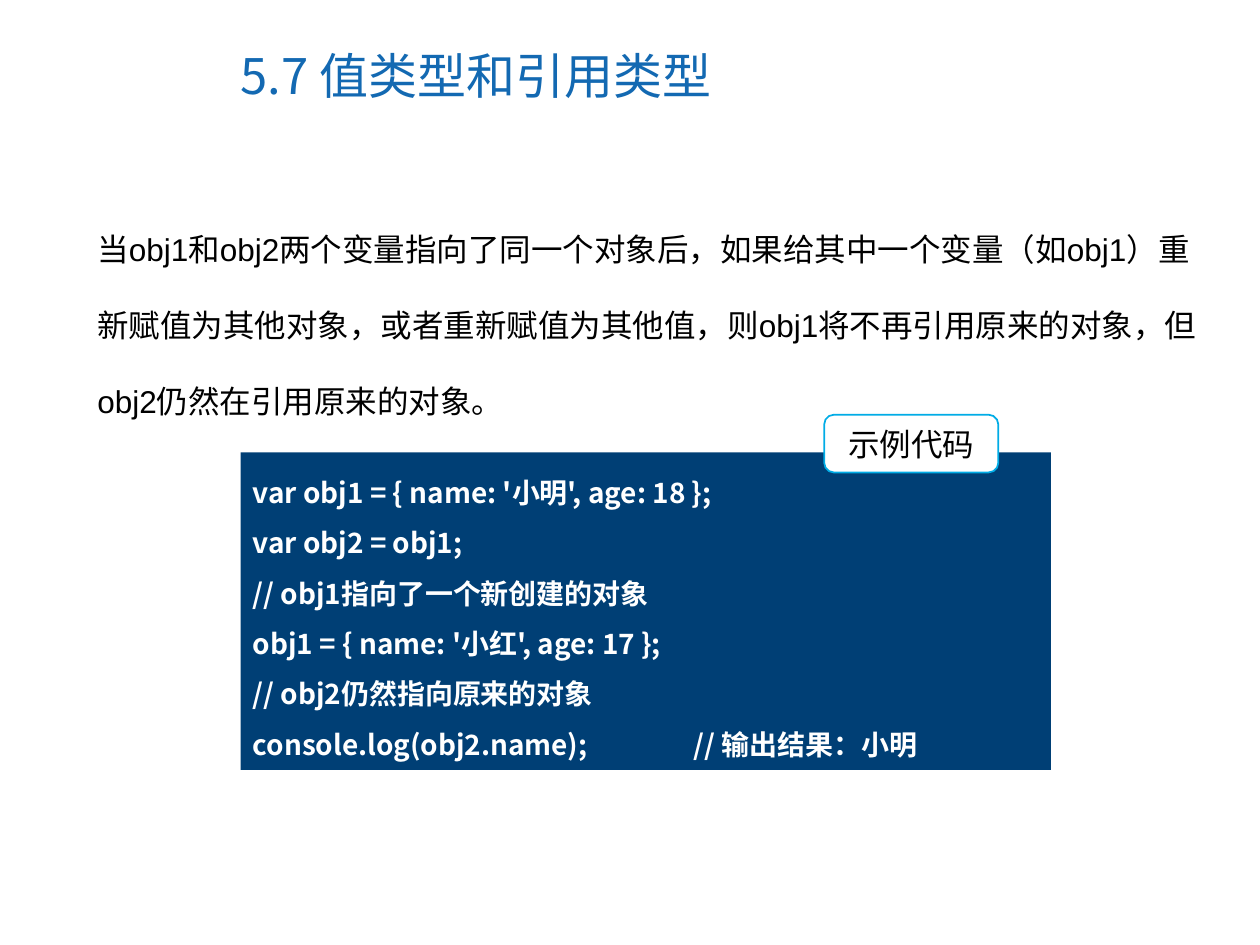
import dataclasses

import pptx
import pptx.dml.color
import pptx.enum.shapes
import pptx.enum.text
import pptx.oxml.ns
import pptx.util
from lxml import etree

Pt = pptx.util.Pt
ANCHOR = pptx.enum.text.MSO_ANCHOR
ALIGN = pptx.enum.text.PP_ALIGN
SHAPE = pptx.enum.shapes.MSO_SHAPE


@dataclasses.dataclass(frozen=True)
class Theme:
    heading: str = "1369B2"
    text: str = "000000"
    code_back: str = "003F75"
    white: str = "FFFFFF"
    label_line: str = "00ACE6"
    cjk_font: str = "Noto Sans CJK SC"
    latin_font: str = "Arial"
    heading_size: int = 28
    body_size: int = 18
    code_size: int = 16


THEME = Theme()

TITLE = "5.7 值类型和引用类型"
EXPLANATION = (
    "当obj1和obj2两个变量指向了同一个对象后，如果给其中一个变量（如obj1）"
    "重新赋值为其他对象，或者重新赋值为其他值，则obj1将不再引用原来的对象，"
    "但obj2仍然在引用原来的对象。"
)
CODE_LINES = [
    "var obj1 = { name: '小明', age: 18 };",
    "var obj2 = obj1;",
    "// obj1指向了一个新创建的对象",
    "obj1 = { name: '小红', age: 17 };",
    "// obj2仍然指向原来的对象",
    "console.log(obj2.name);\t\t// 输出结果：小明",
]


def rgb(value):
    return pptx.dml.color.RGBColor.from_string(value)


def write(shape, lines, size, color, font, bold=False, spacing=1.0,
          align=ALIGN.LEFT, anchor=ANCHOR.TOP):
    frame = shape.text_frame
    frame.word_wrap = True
    frame.vertical_anchor = anchor
    frame.text = "\n".join(lines)
    for paragraph in frame.paragraphs:
        paragraph.alignment = align
        paragraph.line_spacing = spacing
        for run in paragraph.runs:
            run.font.size = Pt(size)
            run.font.bold = bold
            run.font.color.rgb = rgb(color)
            run.font.name = font
            east_asian = etree.SubElement(
                run.font._element, pptx.oxml.ns.qn("a:ea"))
            east_asian.set("typeface", THEME.cjk_font)


def add_text(slide, box, lines, **style):
    write(slide.shapes.add_textbox(*map(Pt, box)), lines, **style)


def add_panel(group, kind, box, fill, line=None):
    panel = group.shapes.add_shape(kind, *map(Pt, box))
    panel.shadow.inherit = False
    panel.fill.solid()
    panel.fill.fore_color.rgb = rgb(fill)
    if line:
        panel.line.color.rgb = rgb(line)
        panel.line.width = Pt(1)
    else:
        panel.line.fill.background()
    return panel


def add_code_example(slide):
    """Code panel with its label overlapping the top edge."""
    group = slide.shapes.add_group_shape()
    code = add_panel(group, SHAPE.RECTANGLE, (137.5, 258.5, 463, 181.5),
                     THEME.code_back)
    write(code, CODE_LINES, THEME.code_size, THEME.white, THEME.cjk_font,
          bold=True, spacing=1.5)
    label = add_panel(group, SHAPE.ROUNDED_RECTANGLE, (471, 237, 99.5, 33),
                      THEME.white, THEME.label_line)
    write(label, ["示例代码"], THEME.body_size, THEME.text, THEME.latin_font,
          align=ALIGN.CENTER, anchor=ANCHOR.MIDDLE)


def main():
    deck = pptx.Presentation()
    deck.slide_width, deck.slide_height = Pt(720), Pt(540)
    slide = deck.slides.add_slide(deck.slide_layouts[6])
    add_text(slide, (130.5, 12.5, 371.5, 61), [TITLE],
             size=THEME.heading_size, color=THEME.heading,
             font=THEME.cjk_font, anchor=ANCHOR.MIDDLE)
    add_text(slide, (48.5, 106.5, 646.5, 131), [EXPLANATION],
             size=THEME.body_size, color=THEME.text,
             font=THEME.latin_font, spacing=2.0)
    add_code_example(slide)
    deck.save("out.pptx")


if __name__ == "__main__":
    main()
